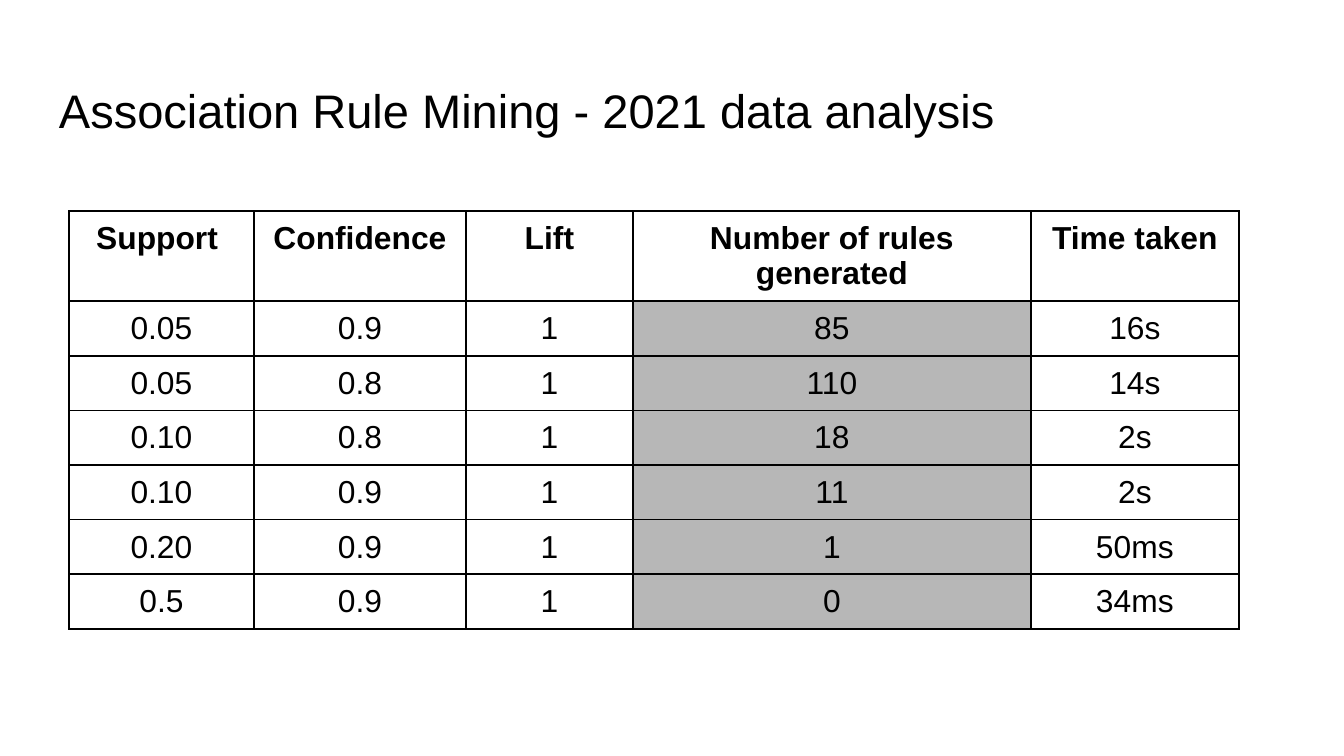
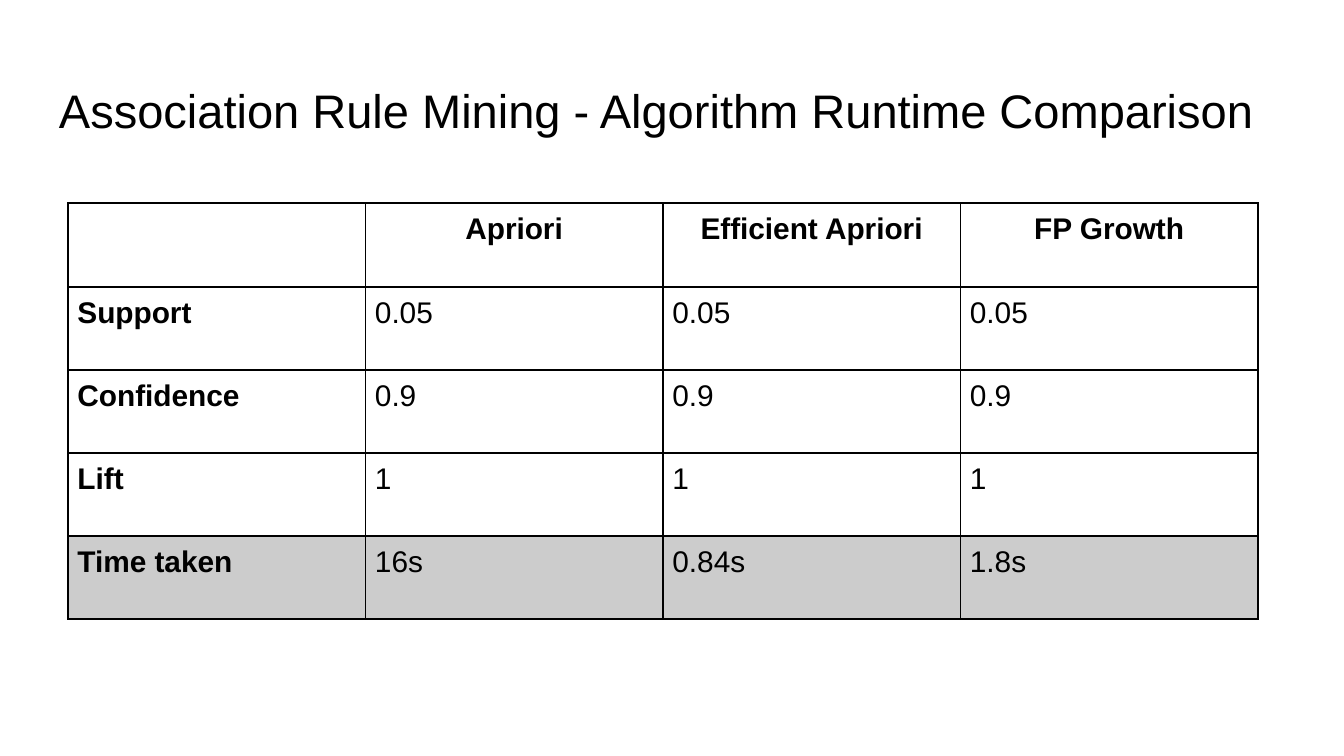
"""Build two slides of association rule mining results."""
from lxml.etree import SubElement
from pptx import Presentation
from pptx.dml.color import RGBColor
from pptx.enum.text import MSO_ANCHOR, MSO_AUTO_SIZE, PP_ALIGN
from pptx.oxml.ns import qn
from pptx.util import Pt

PIXEL = 914400 / 134.4
FONT = "Arial"
BLACK = RGBColor(0x00, 0x00, 0x00)
MID_GREY = RGBColor(0xB7, 0xB7, 0xB7)
LIGHT_GREY = RGBColor(0xCC, 0xCC, 0xCC)
TITLE_BOX = {"left": 46, "top": 66, "width": 1252, "height": 85}
TITLE_SIZE = 25.2
TITLE_INSET = 13
CELL_INSET = 9.5
TITLE_ONLY_LAYOUT = 5

RULE_SLIDE = {
    "title": "Association Rule Mining - 2021 data analysis",
    "rows": [
        ("Support ", "Confidence", "Lift", "Number of rules generated", "Time taken"),
        ("0.05", "0.9", "1", "85", "16s"),
        ("0.05", "0.8", "1", "110", "14s"),
        ("0.10", "0.8", "1", "18", "2s"),
        ("0.10", "0.9", "1", "11", "2s"),
        ("0.20", "0.9", "1", "1", "50ms"),
        ("0.5", "0.9", "1", "0", "34ms"),
    ],
    "left": 69, "top": 211, "widths": [185, 212, 167, 398, 208],
    "header_height": 90, "row_height": 54, "size": 17,
    "centred": lambda row, column: True,
    "bold": lambda row, column: row == 0,
    "shaded": lambda row, column: row > 0 and column == 3,
    "shade": MID_GREY,
}
RUNTIME_SLIDE = {
    "title": "Association Rule Mining - Algorithm Runtime Comparison",
    "rows": [
        ("", "Apriori", "Efficient Apriori", "FP Growth"),
        ("Support", "0.05", "0.05", "0.05"),
        ("Confidence", "0.9", "0.9", "0.9"),
        ("Lift", "1", "1", "1"),
        ("Time taken", "16s", "0.84s", "1.8s"),
    ],
    "left": 68, "top": 203, "widths": [297.5] * 4,
    "header_height": 84, "row_height": 83, "size": 16,
    "centred": lambda row, column: row == 0,
    "bold": lambda row, column: row == 0 or column == 0,
    "shaded": lambda row, column: row == 4,
    "shade": LIGHT_GREY,
}


def px(length):
    return round(length * PIXEL)


def set_all(target, values):
    for name, value in values.items():
        setattr(target, name, value)


def set_font(font, size, bold=False):
    set_all(font, {"name": FONT, "size": Pt(size), "bold": bold})
    font.color.rgb = BLACK


def margins(prefix, inset):
    return {f"{prefix}{side}": px(inset) for side in ("left", "right", "top", "bottom")}


def add_title(slide, text):
    title = slide.shapes.title
    set_all(title, {name: px(value) for name, value in TITLE_BOX.items()})
    frame = title.text_frame
    frame.text = text
    set_all(frame, margins("margin_", TITLE_INSET))
    set_all(frame, {"word_wrap": True, "auto_size": MSO_AUTO_SIZE.NONE,
                    "vertical_anchor": MSO_ANCHOR.BOTTOM})
    paragraph = frame.paragraphs[0]
    paragraph.alignment = PP_ALIGN.LEFT
    set_font(paragraph.runs[0].font, TITLE_SIZE)


def add_borders(cell):
    properties = cell._tc.get_or_add_tcPr()
    for position, side in enumerate(("lnL", "lnR", "lnT", "lnB")):
        line = SubElement(properties, qn(f"a:{side}"), w=str(Pt(1)))
        fill = SubElement(line, qn("a:solidFill"))
        SubElement(fill, qn("a:srgbClr"), val=str(BLACK))
        properties.insert(position, line)


def fill_cell(cell, text, size, centred, bold, shade):
    set_all(cell, margins("margin_", CELL_INSET))
    cell.vertical_anchor = MSO_ANCHOR.TOP
    paragraph = cell.text_frame.paragraphs[0]
    paragraph.alignment = PP_ALIGN.CENTER if centred else PP_ALIGN.LEFT
    set_font(paragraph.font, size, bold)
    if text:
        run = paragraph.add_run()
        run.text = text
        set_font(run.font, size, bold)
    if shade is None:
        cell.fill.background()
    else:
        cell.fill.solid()
        cell.fill.fore_color.rgb = shade
    add_borders(cell)


def add_grid(slide, content):
    rows, widths = content["rows"], content["widths"]
    heights = [content["header_height"]] + [content["row_height"]] * (len(rows) - 1)
    table = slide.shapes.add_table(
        len(rows), len(widths), px(content["left"]), px(content["top"]),
        px(sum(widths)), px(sum(heights))).table
    set_all(table, {"first_row": False, "horz_banding": False})
    for column, width in zip(table.columns, widths):
        column.width = px(width)
    for row, height in zip(table.rows, heights):
        row.height = px(height)
    for row, texts in enumerate(rows):
        for column, text in enumerate(texts):
            shade = content["shade"] if content["shaded"](row, column) else None
            fill_cell(table.cell(row, column), text, content["size"],
                      content["centred"](row, column), content["bold"](row, column), shade)


presentation = Presentation()
set_all(presentation, {"slide_width": px(1344), "slide_height": px(756)})
for content in (RULE_SLIDE, RUNTIME_SLIDE):
    slide = presentation.slides.add_slide(presentation.slide_layouts[TITLE_ONLY_LAYOUT])
    add_title(slide, content["title"])
    add_grid(slide, content)
presentation.save("out.pptx")
